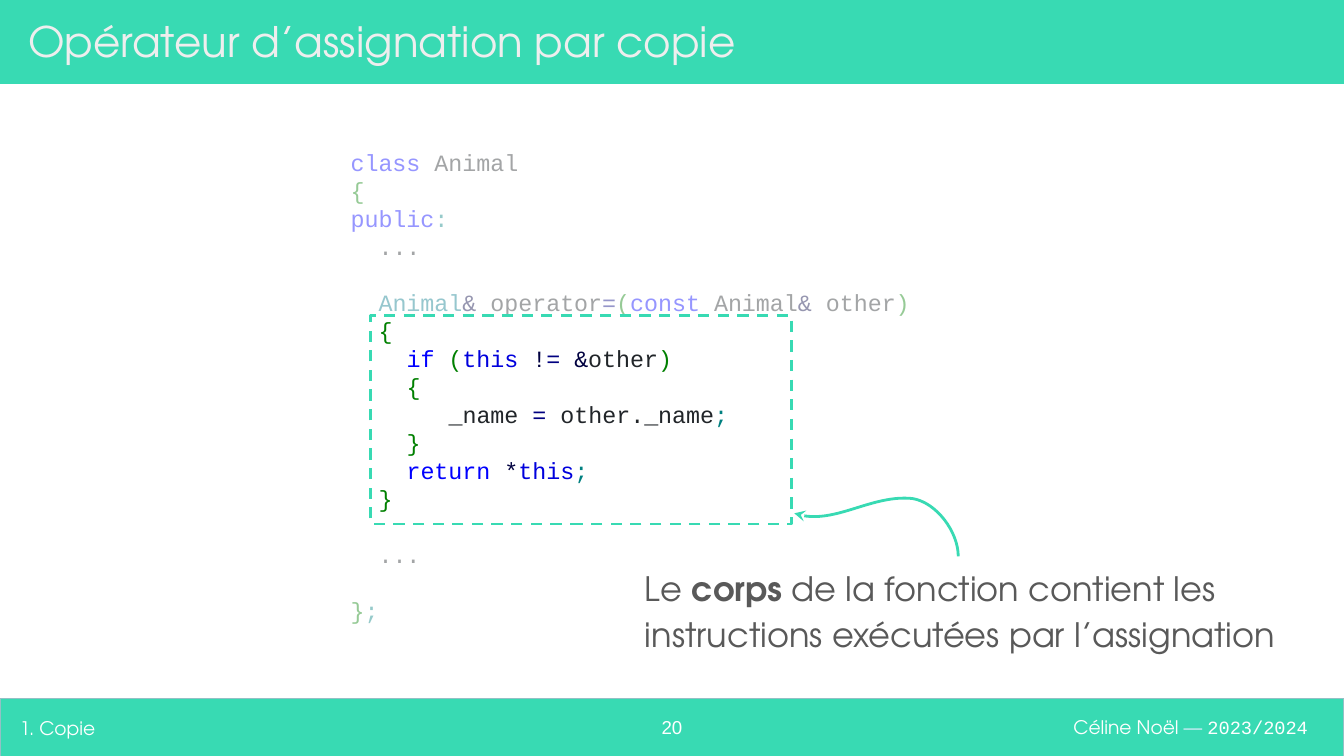
from lxml.etree import SubElement
from pptx import Presentation
from pptx.dml.color import RGBColor
from pptx.enum.dml import MSO_LINE_DASH_STYLE as Dash
from pptx.enum.shapes import MSO_SHAPE as Shape
from pptx.enum.text import MSO_ANCHOR as Anchor, MSO_AUTO_SIZE as AutoSize, PP_ALIGN as Align
from pptx.oxml.ns import qn
from pptx.util import Inches, Pt

COLORS = {
    "mint": "38DAB3", "edge": "93C0C5", "white": "FFFFFF", "title": "EEEEEE",
    "pale": "E2EEFF", "body": "595959", "plain": "212529", "keyword": "0000FF",
    "this": "0000DD", "bracket": "008000", "mark": "008080", "type": "007788",
    "symbol": "000040", "equals": "000080",
}
SANS, MONO, NUMBER = "TeX Gyre Adventor", "Courier New", "Arial"
CELL = 0.1  # inches: the slide is a grid of 100 columns by 56.2 rows
CODE_SIZE, CODE_LEADING = 12.5, 15
CODE_CHAR = 0.6 * CODE_SIZE

# Code lines: indent in characters, blank lines above, coloured pieces
CODE = [
    (0, 0, [("class", "keyword"), (" Animal", "plain")]),
    (0, 0, [("{", "bracket")]),
    (0, 0, [("public", "keyword"), (":", "mark")]),
    (2, 0, [("...", "plain")]),
    (2, 1, [("Animal", "type"), ("&", "symbol"), (" operator", "plain"), ("=", "equals"),
            ("(", "bracket"), ("const", "keyword"), (" Animal", "plain"), ("&", "symbol"),
            (" other", "plain"), (")", "bracket")]),
    (2, 0, [("{", "bracket")]),
    (4, 0, [("if ", "keyword"), ("(", "bracket"), ("this ", "this"), ("!", "symbol"),
            ("= ", "equals"), ("&", "symbol"), ("other", "plain"), (")", "bracket")]),
    (4, 0, [("{", "bracket")]),
    (7, 0, [("_name ", "plain"), ("=", "equals"), (" other._name", "plain"), (";", "mark")]),
    (4, 0, [("}", "bracket")]),
    (4, 0, [("return ", "keyword"), ("*", "symbol"), ("this", "this"), (";", "mark")]),
    (2, 0, [("}", "bracket")]),
    (2, 1, [("...", "plain")]),
    (0, 1, [("}", "bracket"), (";", "mark")]),
]


def grid(*cells):
    return [Inches(cell * CELL) for cell in cells]


def rgb(name):
    return RGBColor.from_string(COLORS[name])


def write(paragraph, text, *, size, color, font=SANS, bold=False):
    run = paragraph.add_run()
    run.text = text
    run.font.size, run.font.name, run.font.bold = Pt(size), font, bold
    run.font.color.rgb = rgb(color)


class Deck:
    def __init__(self):
        self.file = Presentation()
        self.file.slide_width, self.file.slide_height = grid(100, 56.25)
        self.slide = self.file.slides.add_slide(self.file.slide_layouts[5])
        self.shapes = self.slide.shapes

    def frame(self, holder, anchor, align):
        frame = holder.text_frame
        frame.word_wrap, frame.auto_size = True, AutoSize.NONE
        frame.vertical_anchor = anchor
        frame.margin_left = frame.margin_right = Inches(0.1)
        frame.margin_top = frame.margin_bottom = Inches(0.1)
        frame.paragraphs[0].alignment = align
        return frame

    def title(self, text, cells):
        title = self.shapes.title
        title.left, title.top, title.width, title.height = grid(*cells)
        frame = self.frame(title, Anchor.MIDDLE, Align.LEFT)
        write(frame.paragraphs[0], text, size=22.5, color="title")
        title.element.getparent().append(title.element)  # in front of the band

    def text(self, cells, anchor=Anchor.TOP, align=Align.LEFT):
        return self.frame(self.shapes.add_textbox(*grid(*cells)), anchor, align)

    def box(self, cells, fill=None, line=None, width=0.75, dash=None, opacity=None):
        box = self.shapes.add_shape(Shape.RECTANGLE, *grid(*cells))
        box.shadow.inherit = False
        if fill:
            box.fill.solid()
            box.fill.fore_color.rgb = rgb(fill)
        else:
            box.fill.background()
        if opacity:
            tint = box.element.spPr.find(".//" + qn("a:srgbClr"))
            SubElement(tint, qn("a:alpha"), val=str(opacity * 1000))
        if line:
            box.line.color.rgb, box.line.width = rgb(line), Pt(width)
            box.line.dash_style = dash
        else:
            box.line.fill.background()

    def curve(self, points, color, width):
        """Draw joined cubic curves: a start, then three points for each curve."""
        start, *rest = [grid(*point) for point in points]
        builder = self.shapes.build_freeform(*start)
        builder.add_line_segments(rest, close=False)
        curve = builder.convert_to_shape()
        curve.shadow.inherit = False
        curve.fill.background()
        curve.line.color.rgb, curve.line.width = rgb(color), Pt(width)
        SubElement(curve.line._get_or_add_ln(), qn("a:tailEnd"), type="stealth")
        outline = curve.element.spPr.find(".//" + qn("a:path"))
        for i, step in enumerate(outline.findall(qn("a:lnTo"))):
            if i % 3 == 0:
                bend = SubElement(outline, qn("a:cubicBezTo"))
            bend.append(step[0])
            outline.remove(step)

    def code(self, cells, lines):
        frame = self.text(cells)
        for i, (indent, blanks, pieces) in enumerate(lines):
            line = frame.add_paragraph() if i else frame.paragraphs[0]
            line.line_spacing = Pt(CODE_LEADING)
            line.space_before = Pt(blanks * CODE_LEADING)
            line._p.get_or_add_pPr().set("marL", str(Pt(indent * CODE_CHAR)))
            for text, color in pieces:
                write(line, text, size=CODE_SIZE, color=color, font=MONO)


def main():
    deck = Deck()

    # Header and footer bands
    deck.box((0, 52, 100, 4.4), fill="mint", line="edge")
    deck.box((0, 0, 100, 6.25), fill="mint")
    deck.title("Opérateur d’assignation par copie", (1.1, 0.6, 94.8, 4.8))

    # Footer
    author = deck.text((71.8, 51.9, 26.5, 4.4), Anchor.MIDDLE, Align.RIGHT).paragraphs[0]
    write(author, "Céline Noël ", size=10, color="white")
    write(author, "— ", size=10, color="pale")
    write(author, "2023/2024", size=10, color="white", font=MONO)
    number = deck.text((47, 52.3, 6, 3.6), align=Align.CENTER).paragraphs[0]
    write(number, "20", size=10, color="white", font=NUMBER)
    section = deck.text((0.5, 52, 45.4, 4.4), Anchor.MIDDLE).paragraphs[0]
    write(section, "1. Copie", size=10, color="white")

    # Code, faded above and below the function body
    deck.code((25.1, 10, 46.9, 37.8), CODE)
    deck.box((24.1, 8.7, 46.5, 14.9), fill="white", opacity=59)
    deck.box((25.3, 40.4, 46.5, 10.3), fill="white", opacity=59)
    deck.box((27.6, 23.5, 31.3, 15.5), line="mint", width=1.5, dash=Dash.DASH)

    # Explanation and its arrow
    remark = deck.text((47, 40.8, 51.9, 8.8)).paragraphs[0]
    remark.line_spacing, remark.space_after = 1.15, Pt(12)
    write(remark, "Le ", size=18, color="body")
    write(remark, "corps", size=18, color="body", bold=True)
    write(remark, " de la fonction contient les instructions exécutées par l’assignation",
          size=18, color="body")
    deck.curve([(71.3, 41.4), (71.3, 39.6), (69.7, 37.4), (67.9, 37.1),
                (65, 36.8), (61.9, 39.2), (59.1, 38.2)], "mint", 1.5)

    deck.file.save("out.pptx")


if __name__ == "__main__":
    main()
